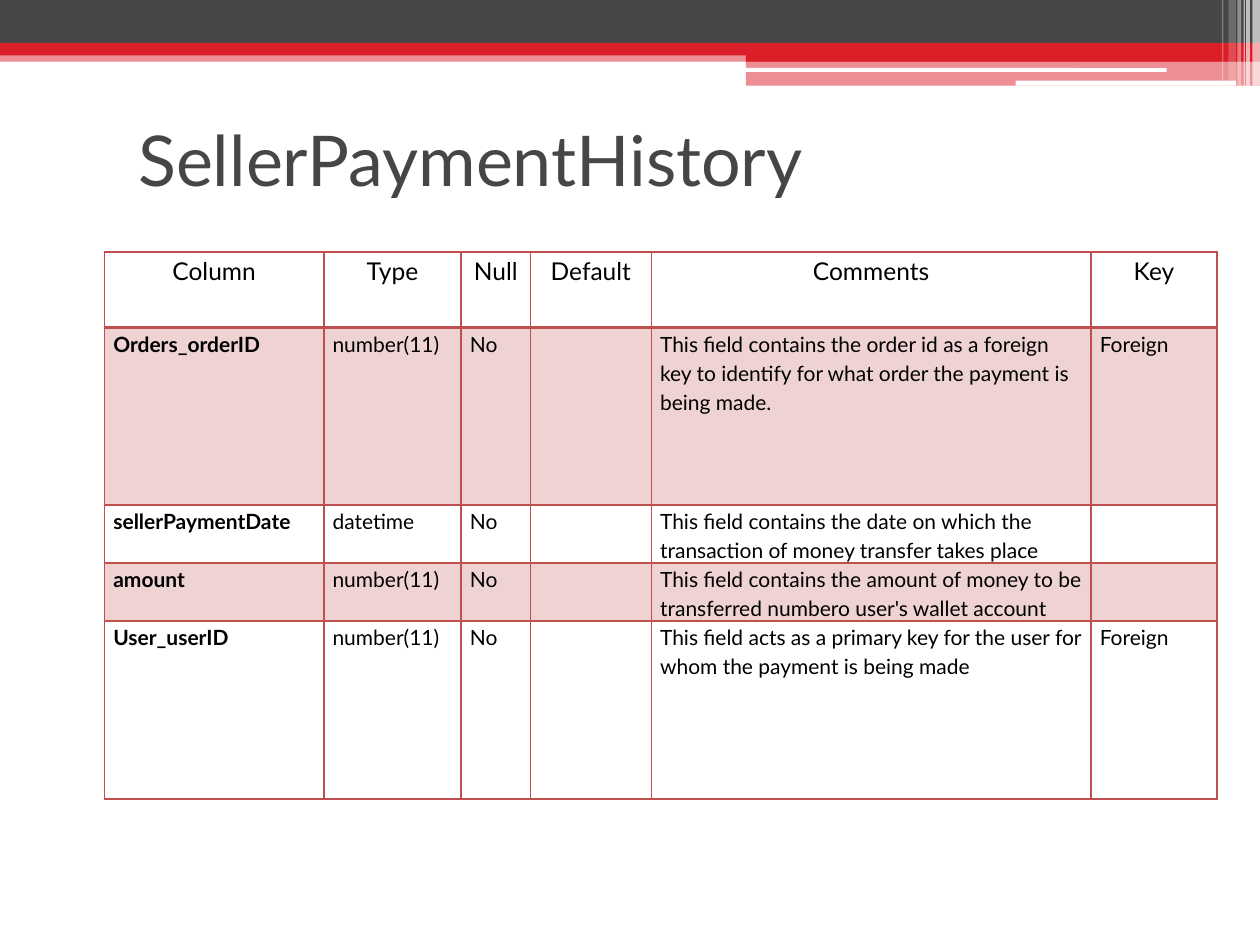
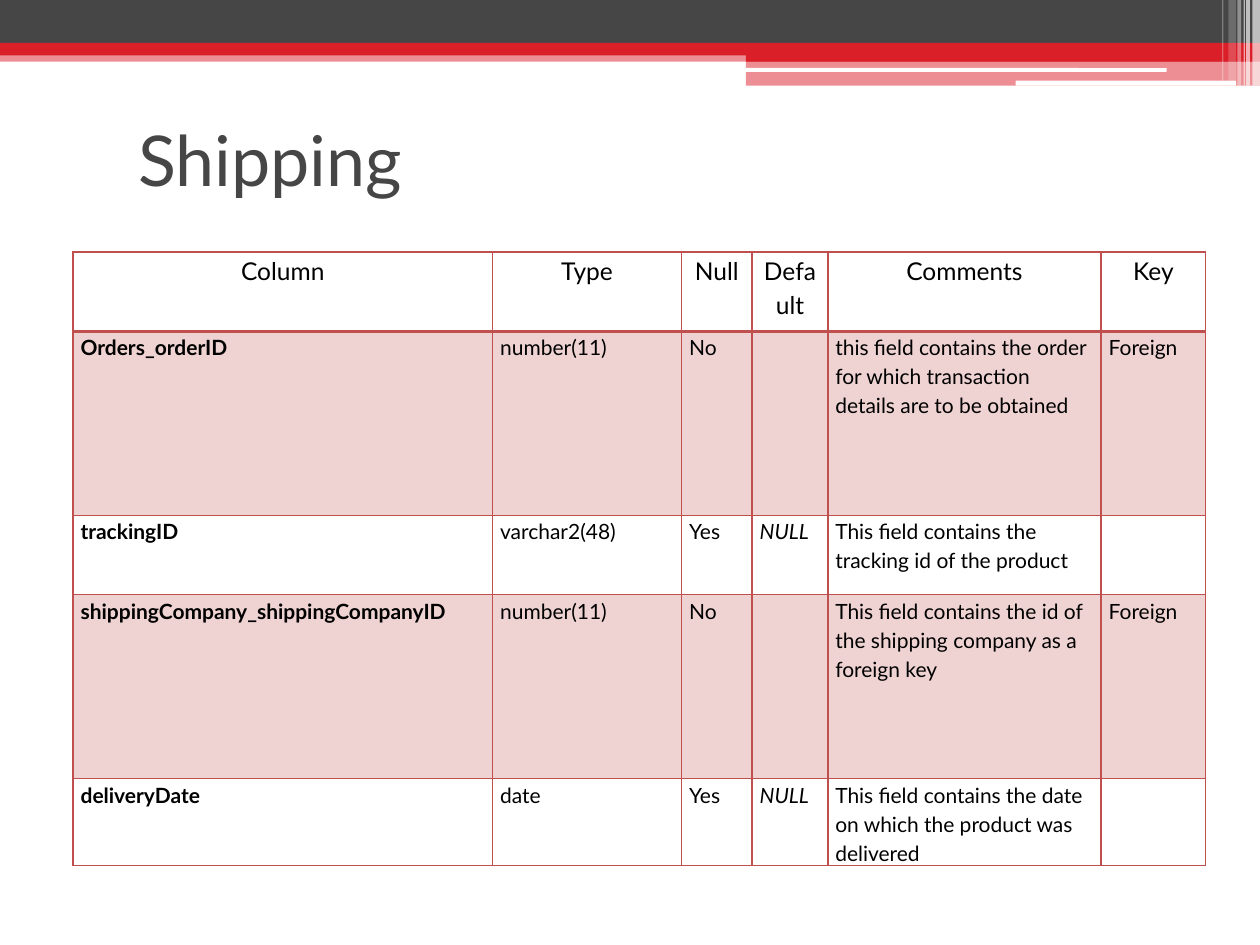
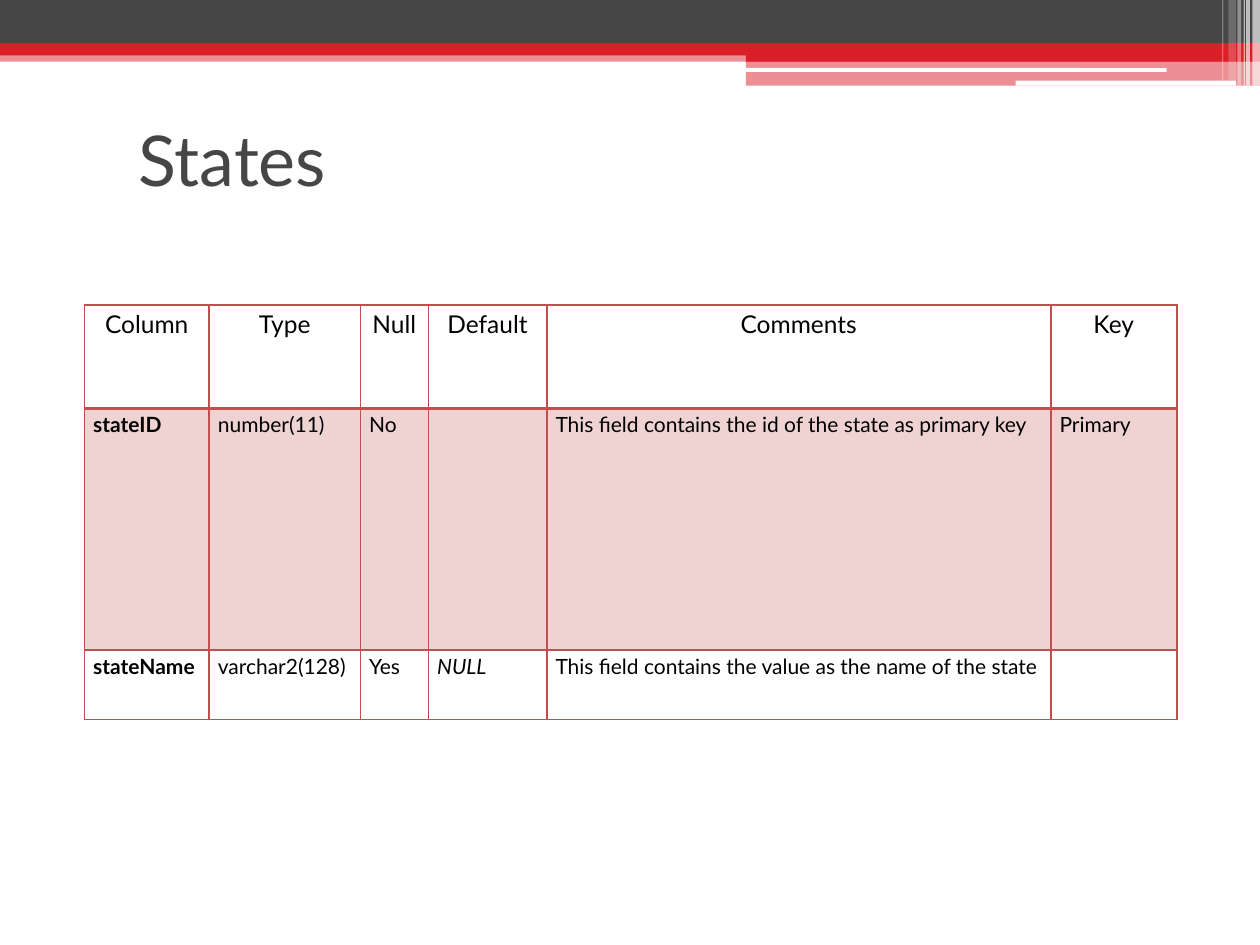
from lxml.etree import SubElement
from pptx import Presentation
from pptx.dml.color import RGBColor
from pptx.enum.shapes import MSO_SHAPE as SHAPE
from pptx.enum.text import MSO_ANCHOR as ANCHOR, PP_ALIGN as ALIGN
from pptx.oxml.ns import qn
from pptx.util import Inches, Pt

FONT = "Lato"
GREY, RED, WHITE, BLACK = "464646", "DA1F28", "FFFFFF", "000000"
RULE, TINT = "C0504D", "EFD3D2"
THIN, THICK = 1, 2.25
HEADINGS = ["Column", "Type", "Null", "Default", "Comments", "Key"]
TITLE_BOX = (1, 0.67, 9, 1.17)

# left, top, width, height, colour, opacity in percent
BANDS = [
    (0, 0.4, 10, 0.09, RED, 50),
    (0, 0, 10, 0.34, GREY, 100),
    (0, 0.34, 10, 0.1, RED, 100),
    (5.92, 0.39, 4.08, 0.1, RED, 100),
    (5.92, 0.48, 4.08, 0.2, RED, 50),
]
SLITS = [(5.91, 0.54, 3.35, 0.03, WHITE, 100), (8.06, 0.64, 1.75, 0.04, WHITE, 100)]
# left, width, height, opacity in percent
STRIPES = [
    (9.94, 0.06, 0.68, 65),
    (9.89, 0.03, 0.68, 65),
    (9.87, 0.01, 0.68, 60),
    (9.82, 0.03, 0.68, 40),
    (9.75, 0.06, 0.64, 20),
    (9.7, 0.01, 0.64, 30),
]

TABLES = [
    {
        "title": "SellerPaymentHistory",
        "corner": (0.83, 2), "inset": 0.07,
        "widths": [1.74, 1.09, 0.55, 0.96, 3.49, 1],
        "heights": [0.6, 1.41, 0.4, 0.4, 1.41],
        "fields": [
            ("Orders_orderID", "number(11)", "No", "",
             "This field contains the order id as a foreign key to identify "
             "for what order the payment is being made.", "Foreign"),
            ("sellerPaymentDate", "datetime", "No", "",
             "This field contains the date on which the transaction of money "
             "transfer takes place", ""),
            ("amount", "number(11)", "No", "",
             "This field contains the amount of money to be transferred "
             "numbero user's wallet account", ""),
            ("User_userID", "number(11)", "No", "",
             "This field acts as a primary key for the user for whom the "
             "payment is being made", "Foreign"),
        ],
    },
    {
        "title": "Shipping",
        "corner": (0.58, 2), "inset": 0.06,
        "widths": [3.33, 1.5, 0.56, 0.6, 2.17, 0.83],
        "heights": [0.63, 1.46, 0.63, 1.46, 0.63],
        "fields": [
            ("Orders_orderID", "number(11)", "No", "",
             "this field contains the order for which transaction details "
             "are to be obtained", "Foreign"),
            ("trackingID", "varchar2(48)", "Yes", "NULL",
             "This field contains the tracking id of the product", ""),
            ("shippingCompany_shippingCompanyID", "number(11)", "No", "",
             "This field contains the id of the shipping company as a "
             "foreign key", "Foreign"),
            ("deliveryDate", "date", "Yes", "NULL",
             "This field contains the date on which the product was "
             "delivered", ""),
        ],
    },
    {
        "title": "States",
        "corner": (0.67, 2.42), "inset": 0.07,
        "widths": [0.99, 1.2, 0.54, 0.94, 4, 1],
        "heights": [0.82, 1.92, 0.55],
        "fields": [
            ("stateID", "number(11)", "No", "",
             "This field contains the id of the state as primary key", "Primary"),
            ("stateName", "varchar2(128)", "Yes", "NULL",
             "This field contains the value as the name of the state", ""),
        ],
    },
]


def rgb(code):
    return RGBColor.from_string(code)


def style_font(font, size, color):
    font.name, font.size = FONT, Pt(size)
    font.color.rgb = rgb(color)


def add_bar(slide, left, top, width, height, color, opacity, kind=SHAPE.RECTANGLE):
    bar = slide.shapes.add_shape(kind, *map(Inches, (left, top, width, height)))
    bar.shadow.inherit = False
    bar.line.fill.background()
    bar.fill.solid()
    bar.fill.fore_color.rgb = rgb(color)
    if opacity < 100:
        tone = bar.fill._xPr.find(qn("a:solidFill"))[0]
        SubElement(tone, qn("a:alpha"), val=str(opacity * 1000))


def add_header_band(slide):
    for band in BANDS:
        add_bar(slide, *band)
    for slit in SLITS:
        add_bar(slide, *slit, kind=SHAPE.ROUNDED_RECTANGLE)
    for left, width, height, opacity in STRIPES:
        add_bar(slide, left, 0, width, height, WHITE, opacity)


def add_title(slide, title, box):
    frame = slide.shapes.add_textbox(*map(Inches, box)).text_frame
    frame.word_wrap = True
    frame.vertical_anchor = ANCHOR.MIDDLE
    run = frame.paragraphs[0].add_run()
    run.text = title
    style_font(run.font, 40, GREY)


def rule_cell(cell, top, bottom):
    """Draw the four borders; call before filling, as the schema wants lines first."""
    properties = cell._tc.get_or_add_tcPr()
    for side, points in (("L", THIN), ("R", THIN), ("T", top), ("B", bottom)):
        line = SubElement(properties, qn(f"a:ln{side}"), w=str(Pt(points)))
        fill = SubElement(line, qn("a:solidFill"))
        SubElement(fill, qn("a:srgbClr"), val=RULE)


def fill_cell(cell, text, row, col, inset):
    is_heading = row == 0
    rule_cell(cell, THICK if row == 1 else THIN, THICK if is_heading else THIN)
    if row % 2:
        cell.fill.solid()
        cell.fill.fore_color.rgb = rgb(TINT)
    else:
        cell.fill.background()
    cell.margin_left = cell.margin_right = Inches(inset)
    cell.margin_top = cell.margin_bottom = 0

    paragraph = cell.text_frame.paragraphs[0]
    paragraph.line_spacing = 1.15
    paragraph.alignment = ALIGN.CENTER if is_heading else ALIGN.LEFT
    size = 14 if is_heading else 12
    if not text:
        paragraph.font.size = Pt(size)
        return
    run = paragraph.add_run()
    run.text = text
    style_font(run.font, size, BLACK)
    run.font.bold = col == 0 and not is_heading
    run.font.italic = text == "NULL"


def add_field_table(slide, corner, widths, heights, inset, fields):
    box = (*corner, sum(widths), sum(heights))
    table = slide.shapes.add_table(
        len(heights), len(widths), *map(Inches, box)).table
    table.first_row = table.horz_banding = False
    for column, width in zip(table.columns, widths):
        column.width = Inches(width)
    for table_row, height in zip(table.rows, heights):
        table_row.height = Inches(height)
    for row, texts in enumerate([HEADINGS, *fields]):
        for col, text in enumerate(texts):
            fill_cell(table.cell(row, col), text, row, col, inset)


def add_table_slide(deck, title, **table):
    slide = deck.slides.add_slide(deck.slide_layouts[6])
    add_header_band(slide)
    add_title(slide, title, TITLE_BOX)
    add_field_table(slide, **table)


def main():
    deck = Presentation()
    deck.slide_width, deck.slide_height = Inches(10), Inches(7.5)
    for table in TABLES:
        add_table_slide(deck, **table)
    deck.save("out.pptx")


if __name__ == "__main__":
    main()
